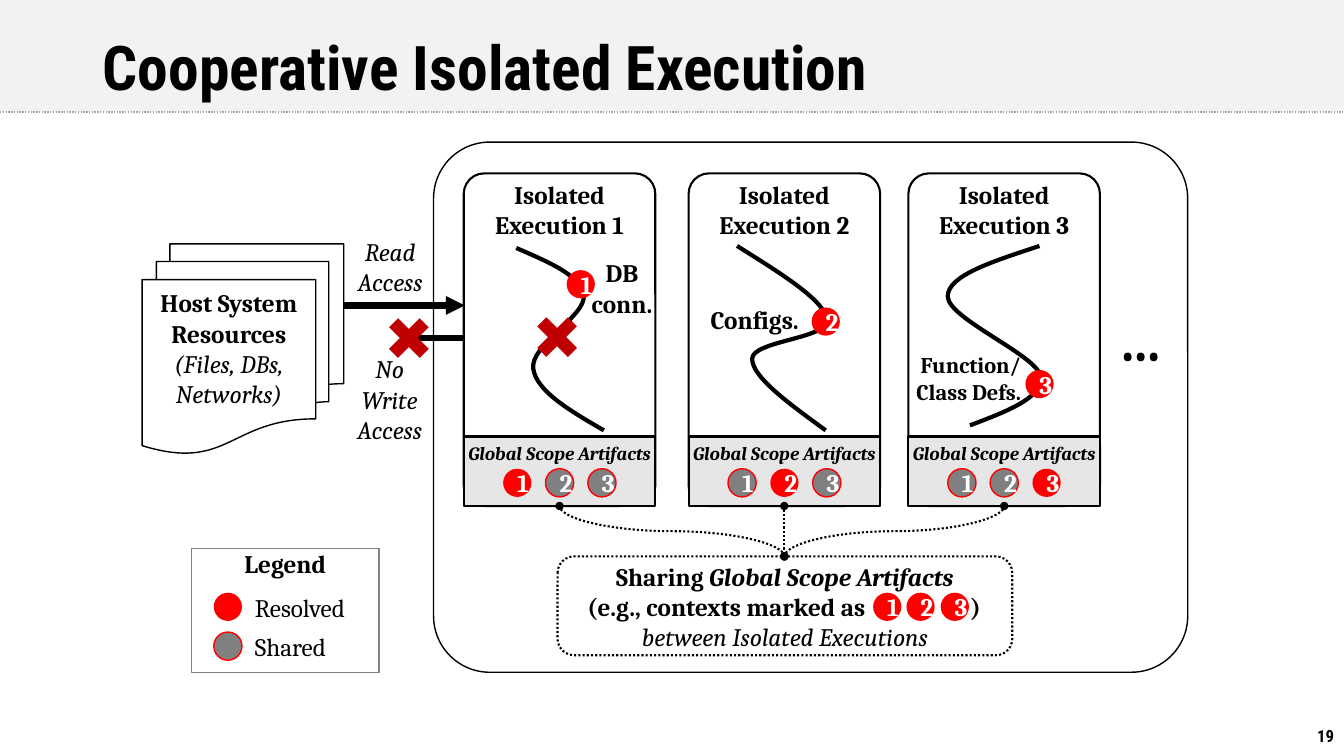
from lxml.etree import SubElement
from pptx import Presentation
from pptx.dml.color import RGBColor
from pptx.enum.dml import MSO_LINE
from pptx.enum.shapes import MSO_CONNECTOR, MSO_SHAPE
from pptx.enum.text import MSO_ANCHOR, PP_ALIGN
from pptx.oxml.ns import qn
from pptx.util import Emu, Pt

BLACK = RGBColor(0x00, 0x00, 0x00)
WHITE = RGBColor(0xFF, 0xFF, 0xFF)
RED = RGBColor(0xFF, 0x00, 0x00)
CRIMSON = RGBColor(0xC0, 0x00, 0x00)
GREY = RGBColor(0x80, 0x80, 0x80)
SILVER = RGBColor(0xA6, 0xA6, 0xA6)
PALE = RGBColor(0xE7, 0xE6, 0xE6)
BAND = RGBColor(0xF2, 0xF2, 0xF2)
DOTS = MSO_LINE.ROUND_DOT
TOP, MID = MSO_ANCHOR.TOP, MSO_ANCHOR.MIDDLE
LEFT, CENTER, RIGHT = PP_ALIGN.LEFT, PP_ALIGN.CENTER, PP_ALIGN.RIGHT
SCALE = 9144
SIZE = 28
BOLD = {"bold": True}
SLANT = {"italic": True}
BOTH = {**BOLD, **SLANT}
HEAD = {"name": "Roboto Condensed", "bold": True}
PANELS = [460, 683, 901]
CURVES = [
    [(512, 246), (544, 260), (576, 273), (579, 293), (582, 313),
     (525, 343), (529, 366), (532, 388), (566, 408), (599, 427)],
    [(731, 244), (774, 271), (818, 298), (820, 317), (823, 336),
     (746, 338), (746, 356), (746, 374), (782, 400), (819, 427)],
    [(1031, 244), (986, 259), (940, 273), (940, 294), (940, 316),
     (1028, 352), (1032, 373), (1036, 394), (999, 408), (962, 422)],
]
MARKS = [(562, 268), (805, 305), (1017, 367)]


def px(num):
    """Turn px into EMU."""
    return Emu(round(num * SCALE))


def put(item, **form):
    """Set each format value on the item."""
    for name, value in form.items():
        setattr(item, name, value)


def stroke(line, color, width, dash=None):
    """Style a line, or hide it when it has no color."""
    if color is None:
        line.fill.background()
        return
    line.color.rgb = color
    put(line, width=Pt(width), dash_style=dash)


def paint(shape, fill=None, line=None, width=1, dash=None):
    """Give a shape its fill and outline."""
    shape.shadow.inherit = False
    if fill is None:
        shape.fill.background()
    else:
        shape.fill.solid()
        shape.fill.fore_color.rgb = fill
    stroke(shape.line, line, width, dash)


def write(shape, rows, align=CENTER, anchor=TOP, wrap=True, color=BLACK, size=18, inset=5):
    """Fill a shape with rows, each a list of text and font pairs."""
    frame = shape.text_frame
    put(frame, word_wrap=wrap, vertical_anchor=anchor, margin_top=px(inset))
    for num, row in enumerate(rows):
        para = frame.add_paragraph() if num else frame.paragraphs[0]
        para.alignment = align
        for text, form in row:
            run = para.add_run()
            run.text = text
            put(run.font, **{"name": "Cambria", "size": Pt(size), **form})
            run.font.color.rgb = color


def draw(slide, kind, box, adjust=None, turn=0, **style):
    """Add a preset shape."""
    shape = slide.shapes.add_shape(kind, *map(px, box))
    if adjust is not None:
        shape.adjustments[0] = adjust
    shape.rotation = turn
    paint(shape, **style)
    return shape


def label(slide, box, rows, **form):
    """Add a text box."""
    shape = slide.shapes.add_textbox(*map(px, box))
    write(shape, rows, **form)
    return shape


def note(slide, box, rows, **form):
    """Add a bold caption in a clear rounded box."""
    shape = draw(slide, MSO_SHAPE.ROUNDED_RECTANGLE, box)
    write(shape, [[(text, BOLD)] for text in rows], **form)


def link(slide, start, end, color, width, dash=None, kind=MSO_CONNECTOR.STRAIGHT, head=None, tail=None):
    """Add a connector with its end marks."""
    line = slide.shapes.add_connector(kind, *map(px, start + end))
    stroke(line.line, color, width, dash)
    edge = line.line._ln
    for name, mark in (("a:headEnd", head), ("a:tailEnd", tail)):
        if mark:
            SubElement(edge, qn(name)).set("type", mark)
    SubElement(line._element.spPr, qn("a:effectLst"))
    return line


def share(slide, start, end):
    """Curve down from a panel to the sharing box."""
    wide, high = abs(end[0] - start[0]), end[1] - start[1]
    mid, level = (start[0] + end[0]) / 2, (start[1] + end[1]) / 2
    near, far = mid - high / 2, mid + high / 2
    top, base = level - wide / 2, level + wide / 2
    flip = start[0] <= end[0]
    first, last = (far, near) if flip else (near, far)
    line = link(slide, (first, top), (last, base), BLACK, 1.5, DOTS,
                MSO_CONNECTOR.CURVE, "oval", "oval")
    line._element.spPr.xfrm.set("rot", str((270 if flip else 90) * 60000))


def bend(slide, knots):
    """Draw a smooth thread through cubic knots."""
    path = slide.shapes.build_freeform(*map(px, knots[0]), scale=1.0)
    path.add_line_segments([tuple(map(px, knot)) for knot in knots[1:]], close=False)
    shape = path.convert_to_shape()
    paint(shape, line=BLACK, width=3)
    steps = list(shape._element.iter(qn("a:lnTo")))
    trail = steps[0].getparent()
    for num, step in enumerate(steps):
        if num % 3 == 0:
            cubic = SubElement(trail, qn("a:cubicBezTo"))
        cubic.append(step[0])
        trail.remove(step)


def badge(slide, left, top, text="", own=True):
    """Add a round mark, red if resolved and grey if shared."""
    shape = draw(slide, MSO_SHAPE.OVAL, (left, top, SIZE, SIZE),
                 fill=RED if own else GREY, line=None if own else RED)
    if text:
        write(shape, [[(text, BOLD)]], anchor=MID, color=WHITE)


def cross(slide, left, top):
    """Add a crimson cross."""
    draw(slide, MSO_SHAPE.CROSS, (left, top, 43, 43), 0.353, 45, fill=CRIMSON)


def panel(slide, num, left):
    """Add one isolated execution with its artifacts."""
    box = draw(slide, MSO_SHAPE.ROUNDED_RECTANGLE, (left, 172, 190, 330), 0.107,
               fill=WHITE, line=BLACK, width=1.5)
    write(box, [[(f"Isolated Execution {num}", BOLD)]], inset=0)
    bend(slide, CURVES[num - 1])
    badge(slide, *MARKS[num - 1], str(num))
    base = draw(slide, MSO_SHAPE.RECTANGLE, (left, 433, 190, 69),
                fill=PALE, line=BLACK, width=1.5)
    write(base, [[("Global Scope Artifacts", BOTH)]], wrap=False, size=13.5)
    for mark in (1, 2, 3):
        badge(slide, left + 39 + 42 * (mark - 1), 465, str(mark), mark == num)


def sharing(slide):
    """Add the sharing box with its marks."""
    box = draw(slide, MSO_SHAPE.ROUNDED_RECTANGLE, (553, 552, 451, 98),
               fill=WHITE, line=BLACK, width=1.5, dash=DOTS)
    write(box, [[("Sharing ", BOLD), ("Global Scope Artifacts", BOTH)],
                [("\t(e.g., contexts marked as\t)", BOLD)],
                [("between Isolated Executions", SLANT)]], anchor=MID, inset=6)
    para = box.text_frame.paragraphs[1]
    para.alignment = LEFT
    tabs = SubElement(para._p.get_or_add_pPr(), qn("a:tabLst"))
    for stop in (15, 395):
        tab = SubElement(tabs, qn("a:tab"))
        tab.set("pos", str(px(stop)))
        tab.set("algn", "l")
    for num in range(3):
        badge(slide, 866 + 67 * num // 2, 588, str(num + 1))


def host(slide):
    """Add the host resources and their access arrows."""
    docs = draw(slide, MSO_SHAPE.FLOWCHART_MULTIDOCUMENT, (141, 242, 200, 208), line=BLACK)
    write(docs, [[("Host System Resources", BOLD)], [("(Files, DBs, Networks)", SLANT)]], inset=8)
    docs.text_frame.margin_bottom = 0
    link(slide, (341, 303), (461, 303), BLACK, 4.5, tail="triangle")
    link(slide, (459, 335), (397, 335), BLACK, 4.5, tail="triangle")
    cross(slide, 384, 314)
    label(slide, (341, 229, 92, 71), [[("Read Access", SLANT)]])
    label(slide, (336, 346, 101, 101), [[("No Write Access", SLANT)]])


def legend(slide):
    """Add the legend."""
    box = draw(slide, MSO_SHAPE.RECTANGLE, (190, 544, 186, 123), fill=WHITE, line=GREY)
    write(box, [[("Legend", BOLD)]], inset=0)
    for top, text, own in ((588, "Resolved", True), (627, "Shared", False)):
        badge(slide, 212, top, own=own)
        label(slide, (243, top - 5, 209, 39), [[(text, {})]], align=LEFT, anchor=MID)


def main():
    """Build the slide and save it."""
    deck = Presentation()
    put(deck, slide_width=px(1333), slide_height=px(750))
    slide = deck.slides.add_slide(deck.slide_layouts[6])
    draw(slide, MSO_SHAPE.RECTANGLE, (0, 0, 1333, 111), fill=BAND)
    link(slide, (0, 111), (1333, 111), SILVER, 1, DOTS)
    title = label(slide, (92, 24, 1150, 93), [[("Cooperative Isolated Execution", HEAD)]],
                  align=LEFT, anchor=MID, size=44)
    title.text_frame.paragraphs[0].line_spacing = 0.9
    label(slide, (1142, 710, 191, 40), [[("19", HEAD)]], align=RIGHT, anchor=MID, size=12)
    draw(slide, MSO_SHAPE.ROUNDED_RECTANGLE, (430, 141, 748, 526), 0.106, line=BLACK)
    for num, left in enumerate(PANELS, 1):
        panel(slide, num, left)
    label(slide, (1083, 298, 98, 77), [[("…", BOLD)]], size=40)
    sharing(slide)
    host(slide)
    note(slide, (589, 248, 56, 78), ["DB", "conn."], wrap=False)
    note(slide, (684, 295, 129, 45), ["Configs."])
    note(slide, (884, 340, 142, 71), ["Function/", "Class Defs."], align=RIGHT, size=16)
    for left in PANELS:
        share(slide, (left + 95, 502), (778, 552))
    legend(slide)
    cross(slide, 531, 313)
    deck.save("out.pptx")


if __name__ == "__main__":
    main()
